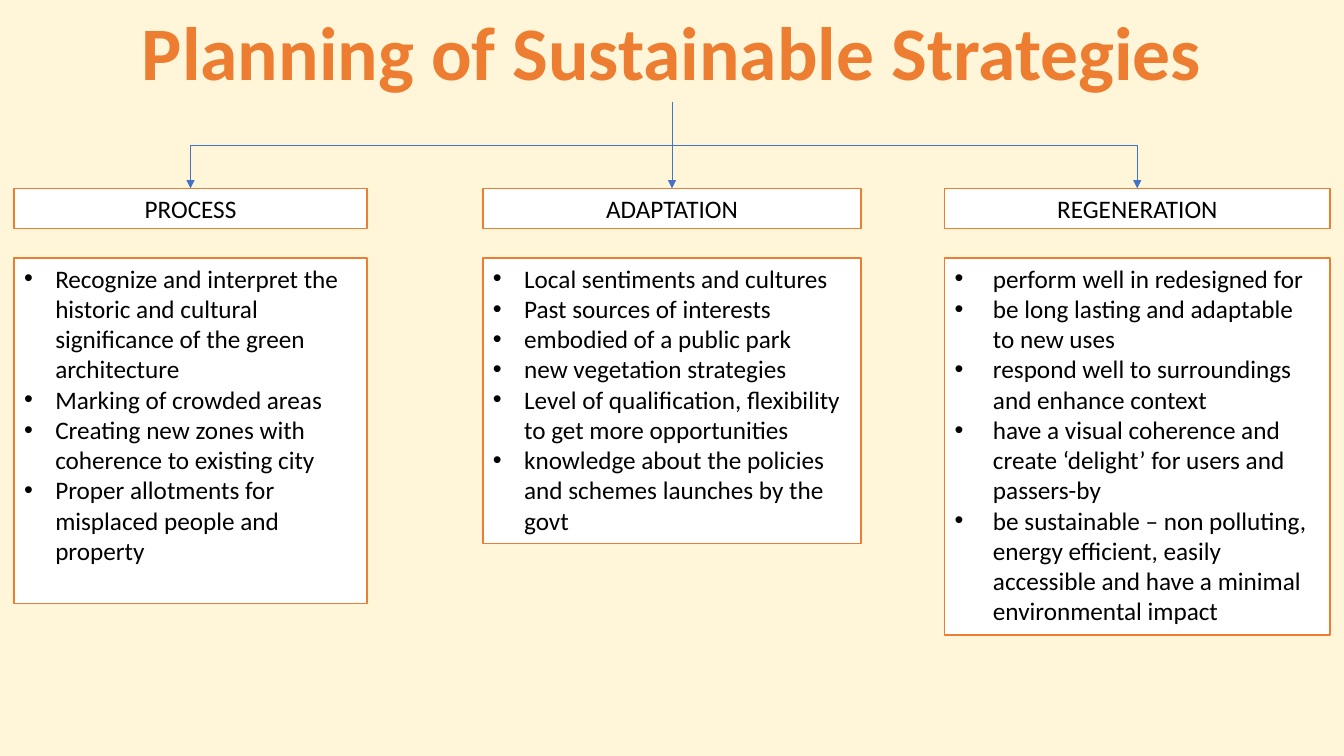
from lxml import etree
from pptx import Presentation
from pptx.dml.color import RGBColor
from pptx.enum import shapes, text
from pptx.oxml.ns import qn
from pptx.util import Inches, Pt

COLORS = {
    "background": "FFF6D9",
    "accent": "ED7D31",
    "arrow": "4472C4",
    "box": "FFFFFF",
    "text": "000000",
}
FONT = "Calibri"
HEADER_TOP, HEADER_HEIGHT, LIST_TOP = 1.87, 0.4, 2.56

# heading, left, width, list height, bullet indent, items
STRATEGIES = [
    ("PROCESS", 0.14, 3.5, 3.43, 0.31, [
        "Recognize and interpret the historic and cultural significance of the green architecture",
        "Marking of crowded areas",
        "Creating new zones with coherence to existing city",
        "Proper allotments for misplaced people and property",
    ]),
    ("ADAPTATION", 4.79, 3.75, 2.83, 0.31, [
        "Local sentiments and cultures",
        "Past sources of interests",
        "embodied of a public park",
        "new vegetation strategies",
        "Level of qualification, flexibility to get more opportunities",
        "knowledge about the policies and schemes launches by the govt",
    ]),
    ("REGENERATION", 9.37, 3.82, 3.74, 0.38, [
        "perform well in redesigned for",
        "be long lasting and adaptable to new uses",
        "respond well to surroundings and enhance context",
        "have a visual coherence and create ‘delight’ for users and passers-by",
        "be sustainable – non polluting, energy efficient, easily accessible and have a minimal "
        "environmental impact",
    ]),
]


def color(name):
    return RGBColor.from_string(COLORS[name])


def style_paragraph(paragraph, size, color_name, align, bold=False):
    paragraph.alignment = align
    font = paragraph.font
    font.name, font.size, font.bold = FONT, Pt(size), bold
    font.color.rgb = color(color_name)


def add_title(slide, wording):
    title = slide.shapes.title
    title.left, title.top = Inches(1.26), Inches(0)
    title.width, title.height = Inches(10.81), Inches(1.01)
    title.text_frame.text = wording
    title.text_frame.word_wrap = False
    title.text_frame.vertical_anchor = text.MSO_ANCHOR.TOP
    style_paragraph(title.text_frame.paragraphs[0], 54, "accent", text.PP_ALIGN.CENTER, True)
    return title


def add_box(slide, left, top, width, height, lines, align, indent=None):
    """Add an outlined box of text, bulleted when an indent is given."""
    box = slide.shapes.add_shape(
        shapes.MSO_SHAPE.RECTANGLE, Inches(left), Inches(top), Inches(width), Inches(height))
    box.shadow.inherit = False
    box.fill.solid()
    box.fill.fore_color.rgb = color("box")
    box.line.color.rgb = color("accent")
    box.line.width = Pt(1)
    frame = box.text_frame
    frame.word_wrap = True
    frame.vertical_anchor = text.MSO_ANCHOR.TOP
    frame.text = "\n".join(lines)
    for paragraph in frame.paragraphs:
        if indent:
            add_bullet(paragraph, indent)
        style_paragraph(paragraph, 18, "text", align)
    return box


def add_bullet(paragraph, indent):
    properties = paragraph._p.get_or_add_pPr()
    properties.set("marL", str(Inches(indent)))
    properties.set("indent", str(-Inches(indent)))
    etree.SubElement(properties, qn("a:buFont"), typeface="Arial")
    etree.SubElement(properties, qn("a:buChar"), char="•")


def add_arrow(slide, title, header):
    """Join the title's bottom to a header's top, bending halfway down if needed."""
    start_x, start_y = title.left + title.width // 2, title.top + title.height
    end_x, end_y = header.left + header.width // 2, header.top
    span, drop = end_x - start_x, end_y - start_y
    bent = abs(span) > Inches(0.02)
    kind = shapes.MSO_CONNECTOR.ELBOW if bent else shapes.MSO_CONNECTOR.STRAIGHT
    arrow = slide.shapes.add_connector(kind, start_x, start_y, end_x, end_y)
    arrow.begin_connect(title, 2)
    arrow.end_connect(header, 0)
    if bent:
        # An elbow leaves sideways, so it is turned to leave downwards.
        arrow.left = (start_x + end_x - drop) // 2
        arrow.top = (start_y + end_y - abs(span)) // 2
        arrow.width, arrow.height = drop, abs(span)
        frame = arrow._element.spPr.find(qn("a:xfrm"))
        frame.set("rot", str((90 if span < 0 else 270) * 60000))
        frame.set("flipH", "0" if span < 0 else "1")
        frame.set("flipV", "0")
    arrow.line.color.rgb = color("arrow")
    arrow.line.width = Pt(0.5)
    etree.SubElement(arrow.line._get_or_add_ln(), qn("a:tailEnd"), type="triangle")
    etree.SubElement(arrow._element.spPr, qn("a:effectLst"))


def main():
    deck = Presentation()
    deck.slide_width, deck.slide_height = Inches(13.33), Inches(7.5)
    slide = deck.slides.add_slide(deck.slide_layouts.get_by_name("Title Only"))
    slide.background.fill.solid()
    slide.background.fill.fore_color.rgb = color("background")
    title = add_title(slide, "Planning of Sustainable Strategies")
    for heading, left, width, list_height, indent, items in STRATEGIES:
        header = add_box(slide, left, HEADER_TOP, width, HEADER_HEIGHT, [heading],
                         text.PP_ALIGN.CENTER)
        add_arrow(slide, title, header)
        add_box(slide, left, LIST_TOP, width, list_height, items, text.PP_ALIGN.LEFT, indent)
    deck.save("out.pptx")


if __name__ == "__main__":
    main()
